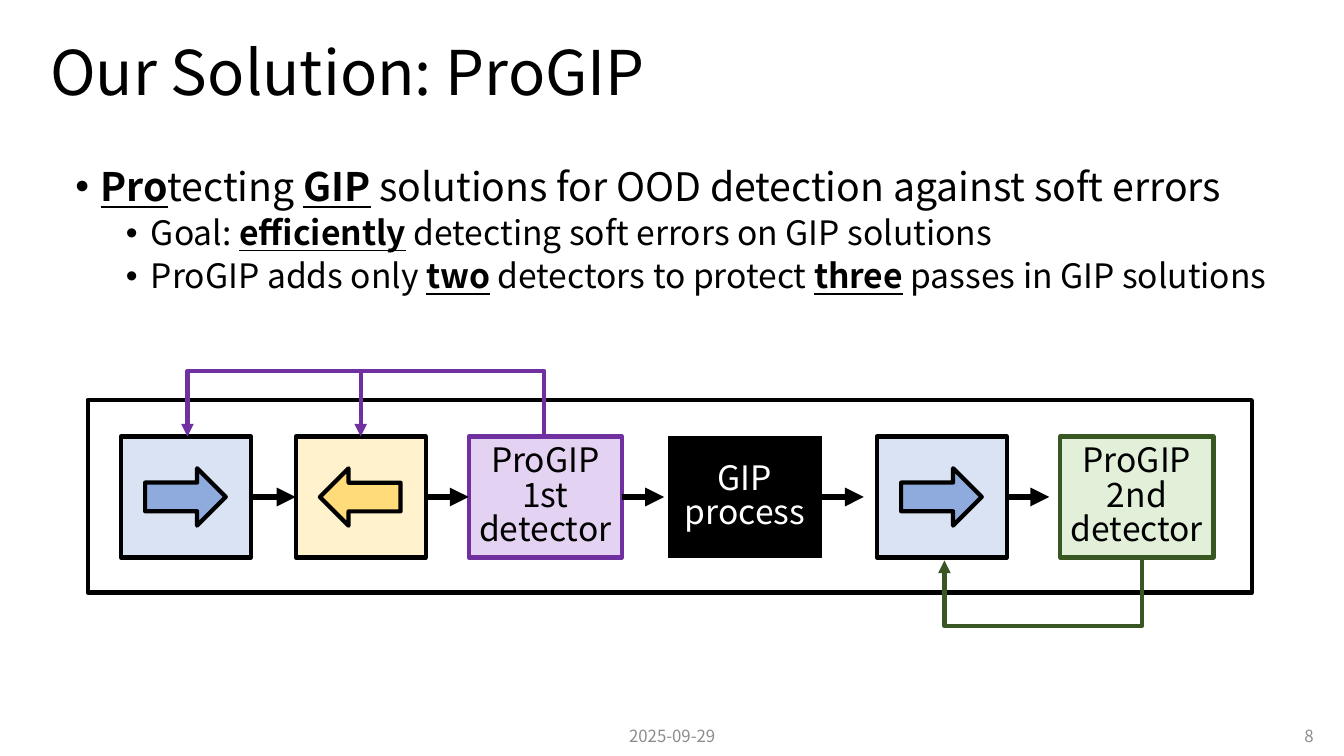
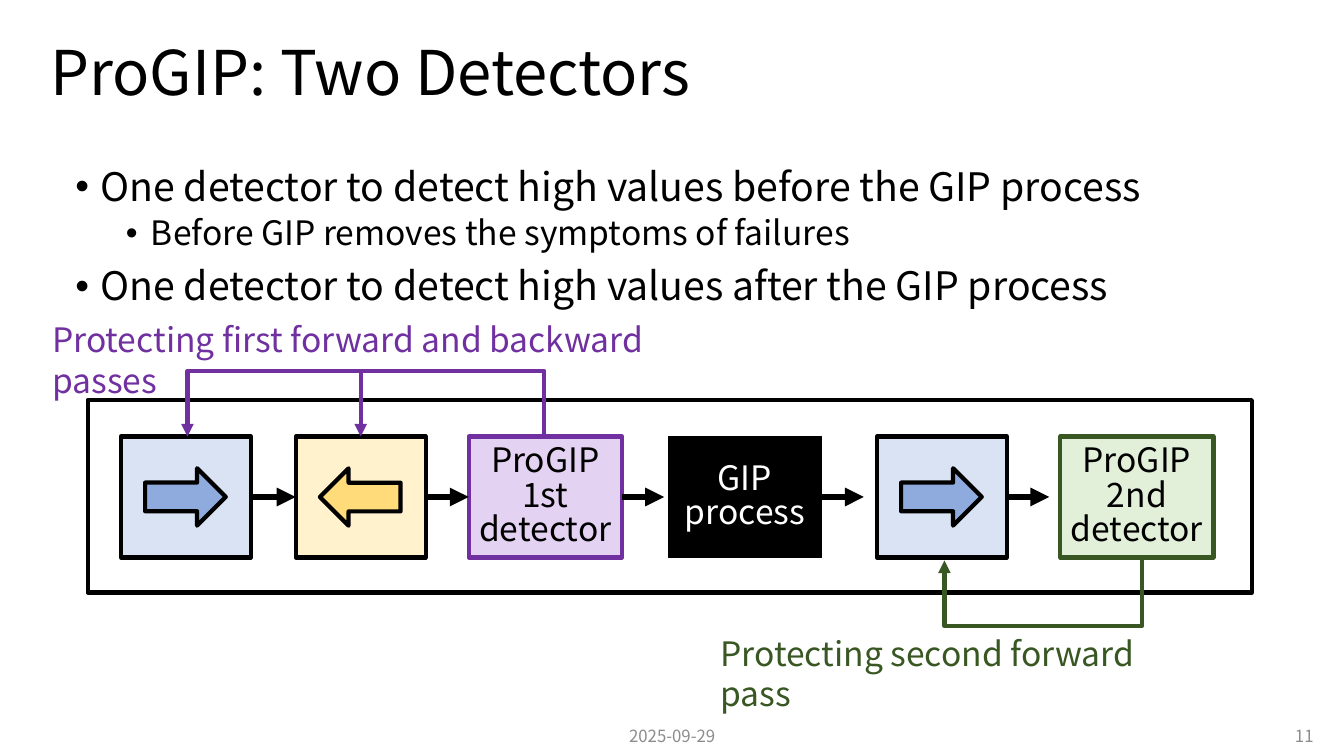
import pptx
import pptx.util
import pptx.dml.color
import pptx.enum.shapes
import pptx.enum.text
import pptx.oxml.ns
import lxml.etree

Pt = pptx.util.Pt
SHAPES = pptx.enum.shapes.MSO_SHAPE
ALIGN = pptx.enum.text.PP_ALIGN
ANCHOR = pptx.enum.text.MSO_ANCHOR

FONT = "Noto Sans CJK KR"
BLACK, WHITE, GRAY = "000000", "FFFFFF", "8C8C8C"
PURPLE, GREEN = "7030A0", "385723"
DATE = "2025-09-29"

SLIDES = [
    {
        "title": "Our Solution: ProGIP",
        "number": "8",
        "bullets": [
            (0, "*Pro*tecting *GIP* solutions for OOD detection against soft errors"),
            (1, "Goal: *efficiently* detecting soft errors on GIP solutions"),
            (1, "ProGIP adds only *two* detectors to protect *three* passes in GIP solutions"),
        ],
        "labels": [],
    },
    {
        "title": "ProGIP: Two Detectors",
        "number": "11",
        "bullets": [
            (0, "One detector to detect high values before the GIP process"),
            (1, "Before GIP removes the symptoms of failures"),
            (0, "One detector to detect high values after the GIP process"),
        ],
        "labels": [
            ("Protecting first forward and backward passes", 30.2, 224.6, 510, PURPLE),
            ("Protecting second forward pass", 507.6, 448.6, 362, GREEN),
        ],
    },
]

LEVELS = [
    {"size": 28, "before": 10, "margin": 18},
    {"size": 24, "before": 5, "margin": 54},
]

FORWARD = {"width": 92.9, "fill": "DAE3F3", "arrow": "8FAADC", "rotation": 0}
BACKWARD = {"width": 92.9, "fill": "FFF2CC", "arrow": "FFDC79", "rotation": 180}
FIRST = {"width": 109.4, "fill": "E4D2F2", "line": PURPLE, "text": "ProGIP\v1st\vdetector"}
PROCESS = {"width": 109.4, "fill": BLACK, "line_width": 1, "text": "GIP\vprocess", "color": WHITE}
SECOND = {"width": 109.4, "fill": "E2F0D9", "line": GREEN, "text": "ProGIP\v2nd\vdetector"}
STAGES = [(86.4, FORWARD), (211.2, BACKWARD), (334.8, FIRST),
          (477.4, PROCESS), (626.4, FORWARD), (757.4, SECOND)]
STAGE_TOP, STAGE_HEIGHT = 311.8, 86.4
MIDDLE = STAGE_TOP + STAGE_HEIGHT / 2
STEP_LENGTH = 30.2
TOUCHING_GAP = 32
LOOPS = [
    (388.8, 133.9, STAGE_TOP, 265, PURPLE),
    (815.8, 674.6, 400.3, 447.1, GREEN),
]


def rgb(value):
    """Turn a hex string into a colour."""
    return pptx.dml.color.RGBColor.from_string(value)


def set_font(font, size, color):
    """Apply the deck font."""
    font.name, font.size = FONT, Pt(size)
    font.color.rgb = rgb(color)


def set_line(line, color, width, arrow=False):
    """Style an outline, with an arrowhead at its end if asked."""
    line.color.rgb = rgb(color)
    line.width = Pt(width)
    if arrow:
        properties = line.fill._xPr
        lxml.etree.SubElement(properties, pptx.oxml.ns.qn("a:tailEnd"), type="triangle")


def add_text(slide, text, box, size, color=BLACK, align=ALIGN.LEFT, anchor=ANCHOR.TOP, spacing=None):
    """Add a one-paragraph text box."""
    frame = slide.shapes.add_textbox(*map(Pt, box)).text_frame
    frame.word_wrap = True
    frame.vertical_anchor = anchor
    paragraph = frame.paragraphs[0]
    paragraph.text = text
    paragraph.alignment = align
    if spacing:
        paragraph.line_spacing = spacing
    set_font(paragraph.font, size, color)


def add_bullets(slide, bullets):
    """Add the bullet list, with starred words bold and underlined."""
    frame = slide.shapes.add_textbox(Pt(46.8), Pt(115.9), Pt(873.4), Pt(342.7)).text_frame
    frame.word_wrap = True
    for index, (level, text) in enumerate(bullets):
        style = LEVELS[level]
        paragraph = frame.add_paragraph() if index else frame.paragraphs[0]
        paragraph.level = level
        paragraph.line_spacing = 0.9
        if index:
            paragraph.space_before = Pt(style["before"])
        properties = paragraph._p.get_or_add_pPr()
        properties.set("marL", str(Pt(style["margin"])))
        properties.set("indent", str(Pt(-18)))
        lxml.etree.SubElement(properties, pptx.oxml.ns.qn("a:buFont"), typeface="Arial")
        lxml.etree.SubElement(properties, pptx.oxml.ns.qn("a:buChar"), char="•")
        set_font(paragraph.font, style["size"], BLACK)
        for position, part in enumerate(text.split("*")):
            if part:
                run = paragraph.add_run()
                run.text = part
                if position % 2:
                    run.font.bold = run.font.underline = True


def add_box(slide, kind, box, fill, line=BLACK, line_width=3):
    """Add a filled and outlined preset shape."""
    shape = slide.shapes.add_shape(kind, *map(Pt, box))
    shape.shadow.inherit = False
    shape.fill.solid()
    shape.fill.fore_color.rgb = rgb(fill)
    set_line(shape.line, line, line_width)
    return shape


def add_stage(slide, left, stage):
    """Add one pipeline stage holding either text or a pass arrow."""
    shape = add_box(slide, SHAPES.RECTANGLE, (left, STAGE_TOP, stage["width"], STAGE_HEIGHT),
                    stage["fill"], stage.get("line", BLACK), stage.get("line_width", 3))
    if "text" in stage:
        frame = shape.text_frame
        frame.word_wrap = True
        frame.margin_left = frame.margin_right = 0
        frame.vertical_anchor = ANCHOR.MIDDLE
        paragraph = frame.paragraphs[0]
        paragraph.text = stage["text"]
        paragraph.alignment = ALIGN.CENTER
        paragraph.line_spacing = 0.85
        set_font(paragraph.font, 24, stage.get("color", BLACK))
    else:
        arrow = add_box(slide, SHAPES.RIGHT_ARROW, (left + 17.3, MIDDLE - 20.5, 57.6, 41),
                        stage["arrow"])
        arrow.rotation = stage["rotation"]
    return shape


def add_arrow(slide, start, end, color, width):
    """Add a straight arrow."""
    connector = slide.shapes.add_connector(
        pptx.enum.shapes.MSO_CONNECTOR.STRAIGHT, *map(Pt, start + end))
    set_line(connector.line, color, width, arrow=True)
    lxml.etree.SubElement(connector._element.spPr, pptx.oxml.ns.qn("a:effectLst"))
    return connector


def add_loop(slide, start, end, base, turn, color):
    """Add a three-part arrow from a detector back to a pass."""
    builder = slide.shapes.build_freeform(Pt(start), Pt(base))
    corners = [(start, turn), (end, turn), (end, base)]
    builder.add_line_segments([(Pt(x), Pt(y)) for x, y in corners], close=False)
    shape = builder.convert_to_shape()
    shape.shadow.inherit = False
    shape.fill.background()
    set_line(shape.line, color, 3, arrow=True)


def add_pipeline(slide):
    """Draw the framed stages, their steps and the feedback loops."""
    add_box(slide, SHAPES.RECTANGLE, (62.6, 285.8, 831.6, 137.5), WHITE)
    shapes = [add_stage(slide, left, stage) for left, stage in STAGES]
    for index, (left, stage) in enumerate(STAGES[:-1]):
        right = left + stage["width"]
        step = add_arrow(slide, (right, MIDDLE), (right + STEP_LENGTH, MIDDLE), BLACK, 4.5)
        step.begin_connect(shapes[index], 3)
        if STAGES[index + 1][0] - right < TOUCHING_GAP:
            step.end_connect(shapes[index + 1], 1)
    for loop in LOOPS:
        add_loop(slide, *loop)
    left, stage = STAGES[1]
    center = left + stage["width"] / 2
    branch = add_arrow(slide, (center, LOOPS[0][3]), (center, STAGE_TOP), PURPLE, 3)
    branch.end_connect(shapes[1], 0)


def add_slide(presentation, content):
    """Build one slide."""
    slide = presentation.slides.add_slide(presentation.slide_layouts[6])
    add_text(slide, content["title"], (28.8, 1.4, 876.2, 104.4), 44,
             anchor=ANCHOR.MIDDLE, spacing=0.9)
    add_bullets(slide, content["bullets"])
    for text, left, align in [(content["number"], 729.4, ALIGN.RIGHT),
                              (DATE, 372.2, ALIGN.CENTER)]:
        add_text(slide, text, (left, 511.2, 216, 28.8), 12, GRAY, align, ANCHOR.MIDDLE)
    add_pipeline(slide)
    for text, left, top, width, color in content["labels"]:
        add_text(slide, text, (left, top, width, 36), 24, color)


def main():
    """Build and save the presentation."""
    presentation = pptx.Presentation()
    presentation.slide_width, presentation.slide_height = Pt(960), Pt(540)
    for content in SLIDES:
        add_slide(presentation, content)
    presentation.save("out.pptx")


if __name__ == "__main__":
    main()
